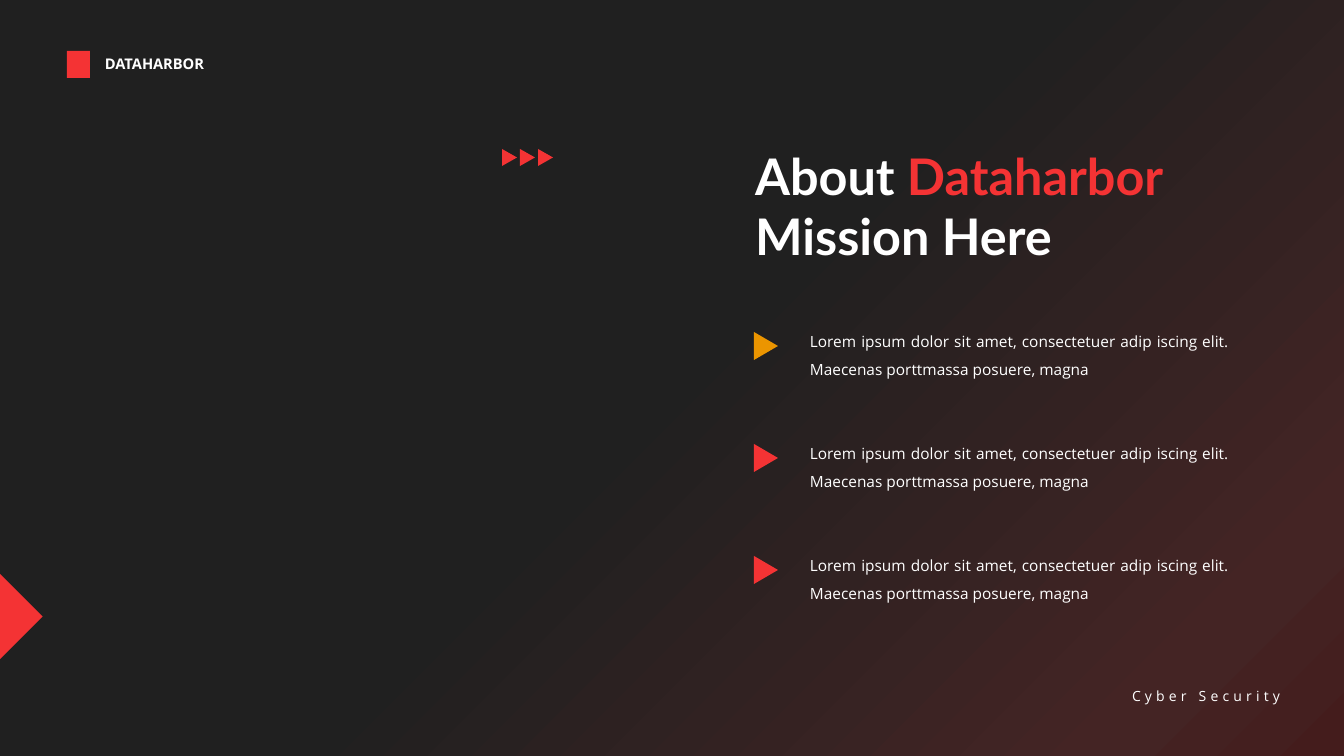
from copy import deepcopy
from pptx import Presentation
from pptx.dml.color import RGBColor
from pptx.enum.shapes import MSO_SHAPE
from pptx.enum.text import MSO_ANCHOR, MSO_AUTO_SIZE, PP_ALIGN
from pptx.util import Pt

WHITE = RGBColor(0xFF, 0xFF, 0xFF)
RED = RGBColor(0xF4, 0x33, 0x34)
AMBER = RGBColor(0xEB, 0x95, 0x00)
DARK = RGBColor(0x20, 0x20, 0x20)
WINE = RGBColor(0x44, 0x24, 0x24)
RUST = RGBColor(0x44, 0x1C, 0x1C)

STOPS = [(0, DARK), (0.5, DARK), (0.88, WINE), (1, RUST)]
BRAND = "DATAHARBOR"
TITLE = [("About ", WHITE), ("Dataharbor ", RED), ("Mission Here", WHITE)]
LOREM = ("Lorem ipsum dolor sit amet, consectetuer adip iscing elit. "
         "Maecenas porttmassa posuere, magna")
POINTS = [(LOREM, AMBER), (LOREM, RED), (LOREM, RED)]
FOOTER = "Cyber Security"

PX = 914400 / 100.8
ROW = 112
STEP = 18


def px(*vals):
    return [round(v * PX) for v in vals]


def shape(kind, box, color, turn=0):
    item = slide.shapes.add_shape(kind, *px(*box))
    item.shadow.inherit = False
    item.fill.solid()
    item.fill.fore_color.rgb = color
    item.line.fill.background()
    item.rotation = turn


def text(words, box, size, align=PP_ALIGN.LEFT, wrap=True, bold=False):
    frame = slide.shapes.add_textbox(*px(*box)).text_frame
    frame.word_wrap = wrap
    para = frame.paragraphs[0]
    para.alignment = align
    para.add_run().text = words
    font = para.font
    font.name, font.size, font.bold = "Open Sans", Pt(size), bold
    font.color.rgb = WHITE
    return para


deck = Presentation()
deck.slide_width, deck.slide_height = px(1344, 756)
slide = deck.slides.add_slide(deck.slide_layouts[5])

fill = slide.background.fill
fill.gradient()
fill.gradient_angle = 315
stops = slide.element.xpath(".//a:gsLst")[0]
for _ in STOPS[2:]:
    stops.append(deepcopy(stops[0]))
for stop, (pos, color) in zip(fill.gradient_stops, STOPS):
    stop.position = pos
    stop.color.rgb = color

shape(MSO_SHAPE.RECTANGLE, (67, 51, 23, 27), RED)
text(BRAND, (95, 50, 119, 28), 10.5, wrap=False, bold=True)
shape(MSO_SHAPE.RIGHT_TRIANGLE, (-31, 586, 61, 61), RED, 225)
for i in range(3):
    shape(MSO_SHAPE.ISOSCELES_TRIANGLE, (501 + i * STEP, 150, 17, 15), RED, 90)

title = slide.shapes.title
title.left, title.top, title.width, title.height = px(745, 140, 490, 132)
frame = title.text_frame
frame.word_wrap = True
frame.auto_size = MSO_AUTO_SIZE.NONE
frame.vertical_anchor = MSO_ANCHOR.TOP
head = frame.paragraphs[0]
head.alignment = PP_ALIGN.LEFT
head.font.name, head.font.size, head.font.bold = "Lato", Pt(36), True
for words, color in TITLE:
    run = head.add_run()
    run.text = words
    run.font.color.rgb = color

for i, (words, color) in enumerate(POINTS):
    shape(MSO_SHAPE.ISOSCELES_TRIANGLE, (752, 334 + i * ROW, 28, 24), color, 90)
    para = text(words, (800, 318 + i * ROW, 439, 63), 11, PP_ALIGN.JUSTIFY)
    para.line_spacing = 1.5

foot = text(FOOTER, (1110, 683, 180, 27), 10, PP_ALIGN.RIGHT, wrap=False)
foot.runs[0].font._element.set("spc", "300")

deck.save("out.pptx")
